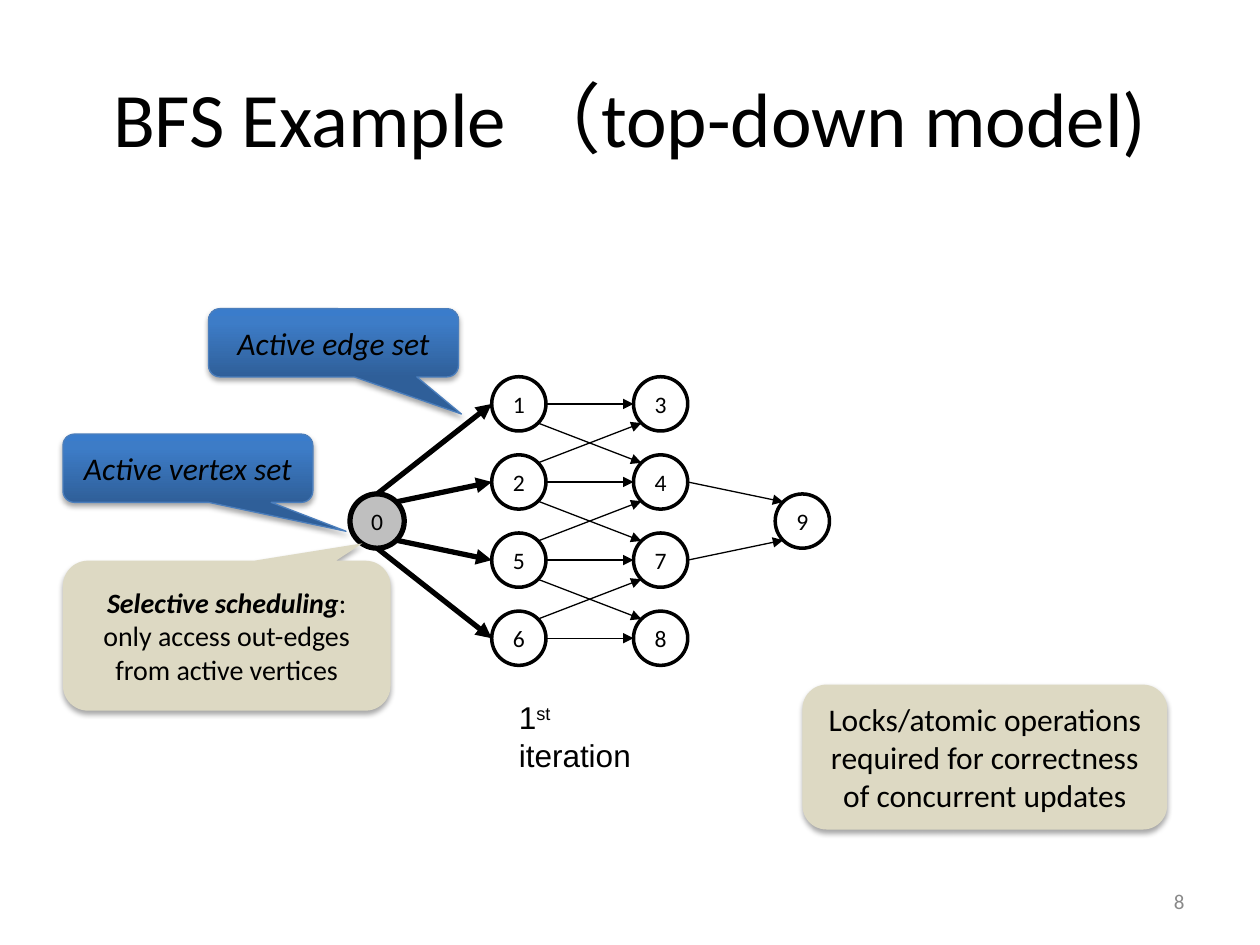
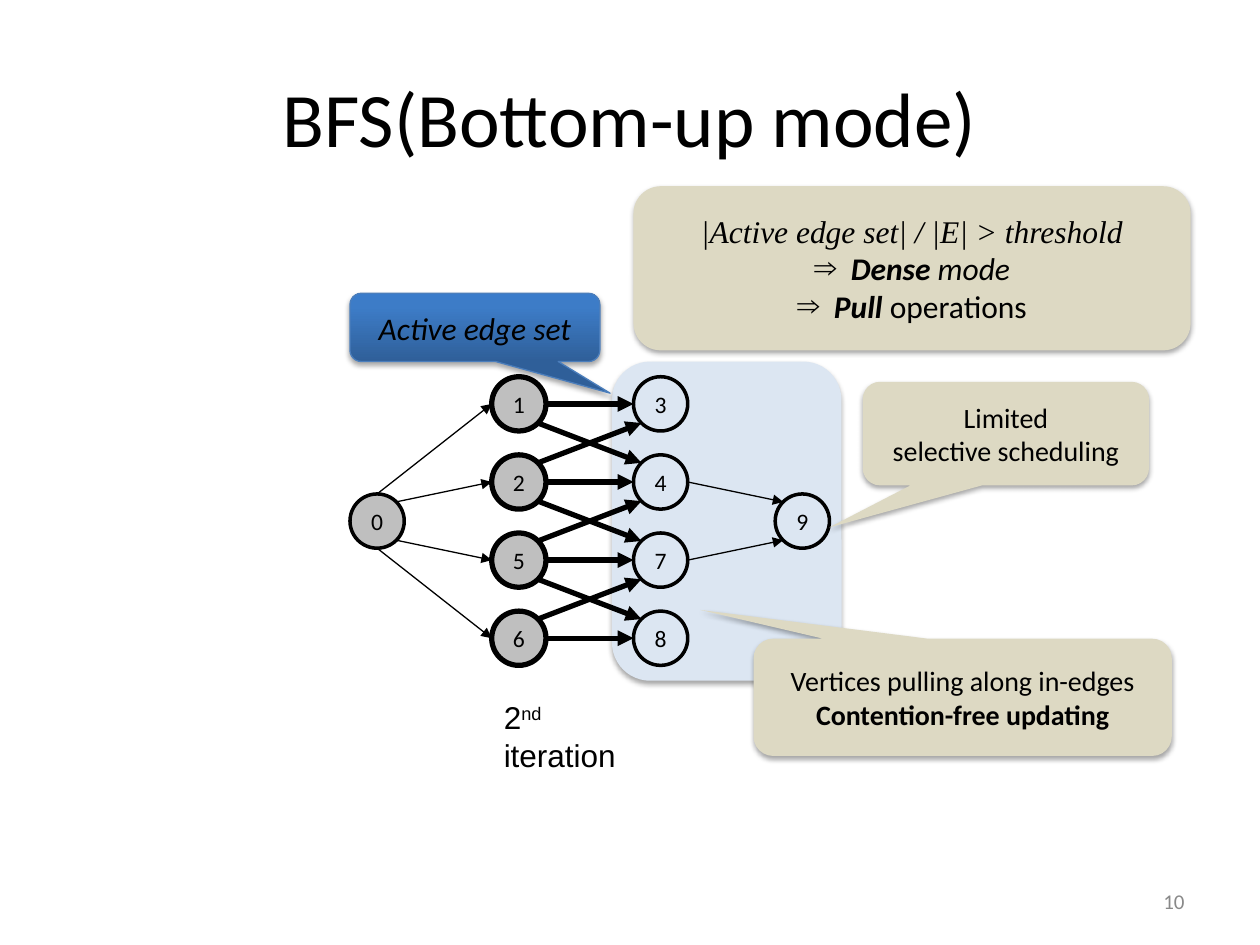
from lxml import etree
from pptx import Presentation
from pptx.dml.color import RGBColor
from pptx.enum.shapes import MSO_CONNECTOR, MSO_SHAPE
from pptx.enum.text import MSO_ANCHOR, PP_ALIGN
from pptx.oxml.ns import qn
from pptx.util import Pt

STRAIGHT = MSO_CONNECTOR.STRAIGHT
ELLIPSE = MSO_SHAPE.OVAL
ROUNDED = MSO_SHAPE.ROUNDED_RECTANGLE
CALLOUT = MSO_SHAPE.ROUNDED_RECTANGULAR_CALLOUT
LEFT, CENTER, RIGHT = PP_ALIGN.LEFT, PP_ALIGN.CENTER, PP_ALIGN.RIGHT
TOP, MIDDLE = MSO_ANCHOR.TOP, MSO_ANCHOR.MIDDLE

COLORS = {
    "black": "000000", "page number": "898989", "visited": "BFBFBF",
    "note": "DDD9C3", "panel": "DCE6F2", "callout line": "4B7EBC",
}
CALLOUT_GRADIENT = [(0, "2F5F99"), (80, "3D7CC7"), (100, "3A7CCB")]

# Text formats
TITLE = {"name": "Calibri", "size": Pt(44)}
PAGE_NUMBER = {"name": "Calibri", "size": Pt(12)}
NODE_LABEL = {"name": "Calibri", "size": Pt(13.5)}
CAPTION = {"name": "Arial", "size": Pt(18)}
LARGE = {"name": "Calibri", "size": Pt(18)}
SMALL = {"name": "Calibri", "size": Pt(16)}
BOLD = {"bold": True}
ITALIC = {"italic": True}
BOLD_ITALIC = {**BOLD, **ITALIC}
FORMULA = {"name": "Times New Roman", "italic": True}

# Graph: node -> (column, row) on an even grid
NODES = {
    0: (0, 1.5), 1: (1, 0), 2: (1, 1), 5: (1, 2), 6: (1, 3),
    3: (2, 0), 4: (2, 1), 7: (2, 2), 8: (2, 3), 9: (3, 1.5),
}
GRID_LEFT, GRID_TOP = 215.5, 230.8
COLUMN_STEP, ROW_STEP = 81, 44.64
RADIUS = 15.5
DIAGONAL = 0.707

# Points on a node's rim, in units of the radius
SITES = {
    "top": (0, -1), "bottom": (0, 1), "left": (-1, 0), "right": (1, 0),
    "top left": (-DIAGONAL, -DIAGONAL), "top right": (DIAGONAL, -DIAGONAL),
    "bottom left": (-DIAGONAL, DIAGONAL), "bottom right": (DIAGONAL, DIAGONAL),
}
SOURCE_EDGES = [(0, "top", 1, "left"), (0, "top right", 2, "left"),
                (0, "bottom right", 5, "left"), (0, "bottom", 6, "left")]
LEVEL_EDGES = [(start, "right", end, "left")
               for start, end in ((1, 3), (2, 4), (5, 7), (6, 8))]
DOWN_EDGES = [(start, "bottom right", end, "top left")
              for start, end in ((1, 4), (2, 7), (5, 8))]
UP_EDGES = [(start, "top right", end, "bottom left")
            for start, end in ((2, 3), (5, 4), (6, 7))]
MIDDLE_EDGES = LEVEL_EDGES + DOWN_EDGES + UP_EDGES
LAST_EDGES = [(4, "right", 9, "top left"), (7, "right", 9, "bottom left")]


def rgb(name):
    return RGBColor.from_string(COLORS[name])


def add_element(parent, tag, **attributes):
    element = etree.SubElement(parent, qn(tag))
    for name, value in attributes.items():
        element.set(name, str(value))
    return element


def add_bullet(paragraph, character, indent):
    properties = paragraph._p.get_or_add_pPr()
    properties.set("marL", str(Pt(indent)))
    properties.set("indent", str(-Pt(indent)))
    add_element(properties, "a:buFont", typeface="Times New Roman")
    add_element(properties, "a:buChar", char=character)


def write_text(shape, paragraphs, base, color="black", align=CENTER,
               anchor=MIDDLE, bulleted=()):
    """Each paragraph is a list of (text, format changes) pairs."""
    frame = shape.text_frame
    frame.word_wrap = True
    frame.vertical_anchor = anchor
    for index, runs in enumerate(paragraphs):
        paragraph = frame.add_paragraph() if index else frame.paragraphs[0]
        paragraph.alignment = align
        if index in bulleted:
            add_bullet(paragraph, "⇒", 21)
        for text, changes in runs:
            run = paragraph.add_run()
            run.text = text
            run.font.color.rgb = rgb(color)
            for name, value in {**base, **changes}.items():
                if name == "baseline":
                    run._r.get_or_add_rPr().set("baseline", str(value))
                else:
                    setattr(run.font, name, value)


def add_text(slide, box, paragraphs, base, **layout):
    shape = slide.shapes.add_textbox(*map(Pt, box))
    write_text(shape, paragraphs, base, **layout)


def add_plain_shape(slide, kind, box, fill=None):
    shape = slide.shapes.add_shape(kind, *map(Pt, box))
    shape.shadow.inherit = False
    shape.line.fill.background()
    if fill:
        shape.fill.solid()
        shape.fill.fore_color.rgb = rgb(fill)
    else:
        shape.fill.background()
    return shape


def add_shadow(shape):
    effects = shape._element.spPr.find(qn("a:effectLst"))
    shadow = add_element(effects, "a:outerShdw", blurRad=Pt(3.1), dist=Pt(1.8),
                         dir=90 * 60000, rotWithShape=0)
    color = add_element(shadow, "a:srgbClr", val=COLORS["black"])
    add_element(color, "a:alpha", val=35000)


def add_card(slide, box, fill, tail=None):
    """A shadowed rounded box, with a pointer when tail is given."""
    shape = add_plain_shape(slide, CALLOUT if tail else ROUNDED, box, fill)
    if tail:
        for index, value in enumerate((*tail, 0.167)):
            shape.adjustments[index] = value
    add_shadow(shape)
    return shape


def add_note(slide, box, paragraphs, base, tail=None, bulleted=()):
    shape = add_card(slide, box, "note", tail)
    write_text(shape, paragraphs, base, bulleted=bulleted)


def add_set_callout(slide, left, top, text, tail):
    shape = add_card(slide, (left, top, 142.8, 39), None, tail)
    shape.fill.gradient()
    shape.fill.gradient_angle = 90
    stops = shape._element.spPr.find(qn("a:gradFill")).find(qn("a:gsLst"))
    for stop in list(stops):
        stops.remove(stop)
    for position, color in CALLOUT_GRADIENT:
        stop = add_element(stops, "a:gs", pos=position * 1000)
        add_element(stop, "a:srgbClr", val=color)
    shape.line.color.rgb = rgb("callout line")
    shape.line.width = Pt(0.75)
    write_text(shape, [[(text, ITALIC)]], LARGE)


def node_center(node):
    column, row = NODES[node]
    return GRID_LEFT + column * COLUMN_STEP, GRID_TOP + row * ROW_STEP


def rim_point(node, site):
    return [Pt(center + RADIUS * offset)
            for center, offset in zip(node_center(node), SITES[site])]


def add_node(slide, node, visited, active):
    x, y = node_center(node)
    box = (x - RADIUS, y - RADIUS, 2 * RADIUS, 2 * RADIUS)
    shape = add_plain_shape(slide, ELLIPSE, box, "visited" if visited else None)
    shape.line.color.rgb = rgb("black")
    shape.line.width = Pt(3 if active else 2)
    frame = shape.text_frame
    for side in ("left", "top", "right", "bottom"):
        setattr(frame, f"margin_{side}", 0)
    write_text(shape, [[(str(node), {})]], NODE_LABEL)


def add_edge(slide, start, start_site, end, end_site, width):
    connector = slide.shapes.add_connector(
        STRAIGHT, *rim_point(start, start_site), *rim_point(end, end_site))
    connector.line.color.rgb = rgb("black")
    connector.line.width = Pt(width)
    add_element(connector.line._get_or_add_ln(), "a:tailEnd", type="triangle")
    add_element(connector._element.spPr, "a:effectLst")


def add_graph(slide, visited, active, active_edges):
    for node in NODES:
        add_node(slide, node, node in visited, node in active)
    for edge in SOURCE_EDGES + MIDDLE_EDGES + LAST_EDGES:
        add_edge(slide, *edge, width=3 if edge in active_edges else 0.75)


def add_caption(slide, left, number, suffix):
    runs = [(number, {}), (suffix, {"baseline": 30000}), (" iteration", {})]
    add_text(slide, (left, 395.6, 100, 50), [runs], CAPTION,
             align=LEFT, anchor=TOP)


def add_frame(slide, title, number):
    add_text(slide, (36, 21.6, 648, 90), [[(title, {})]], TITLE)
    add_text(slide, (516, 500.5, 168, 28.8), [[(number, {})]], PAGE_NUMBER,
             color="page number", align=RIGHT)


def build_top_down(slide):
    add_frame(slide, "BFS Example （top-down model)", "8")
    add_graph(slide, visited={0}, active={0}, active_edges=SOURCE_EDGES)
    add_caption(slide, 289.4, "1", "st")
    add_set_callout(slide, 119.2, 176.4, "Active edge set", (0.512, 1.044))
    add_set_callout(slide, 36, 248.1, "Active vertex set", (0.633, 0.924))
    add_note(slide, (36, 320.4, 187.2, 85.7), [
        [("Selective scheduling", BOLD_ITALIC), (": only access out-edges", {})],
        [("from active vertices", {})],
    ], SMALL, tail=(0.414, -0.616))
    add_note(slide, (458.6, 391.2, 208.4, 82.8), [
        [("Locks/atomic operations", {})],
        [("required for correctness", {})],
        [("of concurrent updates", {})],
    ], LARGE)


def build_bottom_up(slide):
    add_card(slide, (349.7, 206.6, 131.2, 182.4), "panel")
    add_frame(slide, "BFS(Bottom-up mode)", "10")
    add_graph(slide, visited={0, 1, 2, 5, 6}, active={1, 2, 5, 6},
              active_edges=MIDDLE_EDGES)
    add_caption(slide, 280.8, "2", "nd")
    add_set_callout(slide, 200, 167.6, "Active edge set", (0.541, 0.964))
    add_note(slide, (362, 106.4, 318.4, 93.8), [
        [("|Active edge set| / |E| > threshold", FORMULA)],
        [("Dense", BOLD_ITALIC), (" mode", ITALIC)],
        [("Pull ", BOLD_ITALIC), ("operations", {})],
    ], LARGE, bulleted=(1, 2))
    add_note(slide, (430.6, 365, 239, 67), [
        [("Vertices pulling along in-edges", {})],
        [("Contention-free updating", BOLD)],
    ], SMALL, tail=(-0.627, -0.745))
    add_note(slide, (493, 218.2, 163.6, 59.2), [
        [("Limited", {})], [("selective scheduling", {})],
    ], SMALL, tail=(-0.617, 0.906))


def main():
    presentation = Presentation()
    presentation.slide_width, presentation.slide_height = Pt(720), Pt(540)
    blank = presentation.slide_layouts[6]
    for build in (build_top_down, build_bottom_up):
        build(presentation.slides.add_slide(blank))
    presentation.save("out.pptx")


if __name__ == "__main__":
    main()
